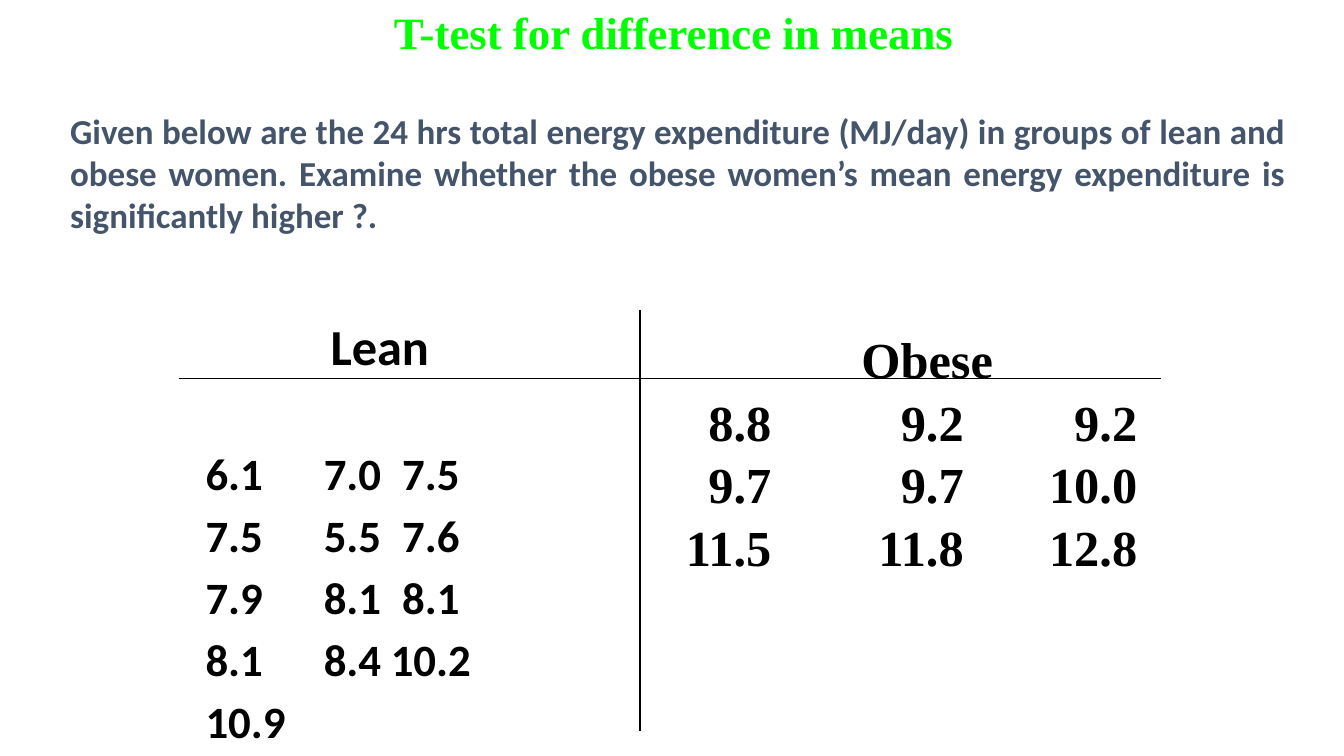
from pptx import Presentation
from pptx.dml.color import RGBColor
from pptx.enum.shapes import MSO_CONNECTOR
from pptx.enum.text import MSO_ANCHOR, MSO_AUTO_SIZE, PP_ALIGN
from pptx.oxml.ns import qn
from pptx.util import Cm, Pt
from lxml import etree

GREEN = RGBColor(0x00, 0xFF, 0x00)
SLATE = RGBColor(0x44, 0x54, 0x6A)
BLACK = RGBColor(0x00, 0x00, 0x00)
SANS, SERIF = "Calibri", "Times New Roman"
STRAIGHT = MSO_CONNECTOR.STRAIGHT
TOP, MIDDLE = MSO_ANCHOR.TOP, MSO_ANCHOR.MIDDLE
LEFT, CENTER, JUSTIFY = PP_ALIGN.LEFT, PP_ALIGN.CENTER, PP_ALIGN.JUSTIFY
NO_AUTOFIT = MSO_AUTO_SIZE.NONE

TITLE = "T-test for difference in means"
QUESTION = (
    "Given below are the 24 hrs total energy expenditure (MJ/day) in groups of "
    "lean and obese women. Examine whether the obese women’s mean energy "
    "expenditure is significantly higher ?."
)

# Boxes are left, top, width, height in cm; tabs are (alignment, cm from the text edge)
GROUPS = [
    {
        "name": "Lean",
        "rows": [
            ("6.1", "7.0", "7.5"),
            ("7.5", "5.5", "7.6"),
            ("7.9", "8.1", "8.1"),
            ("8.1", "8.4", "10.2"),
            ("10.9",),
        ],
        "box": (4.93, 7.82, 9.96, 11.23),
        "font": SANS, "size": 32, "name_indent": 3.15,
        "tabs": [("l", 2.98), ("ctr", 5.68)],
        "first_gap": 50, "row_gap": 5.8, "first_tab": False,
    },
    {
        "name": "Obese",
        "rows": [
            ("8.8", "9.2", "9.2"),
            ("9.7", "9.7", "10.0"),
            ("11.5", "11.8", "12.8"),
        ],
        "box": (16.36, 8.15, 12.57, 7.87),
        "font": SERIF, "size": 36, "name_indent": 5.1,
        "tabs": [("r", 2.83), ("r", 7.68), ("r", 12.05)],
        "first_gap": 1.5, "row_gap": 1.5, "first_tab": True,
    },
]
NAME_SIZE = 36

# Start x, start y, end x, end y in cm
RULES = [
    (16.13, 7.82, 16.13, 18.42),
    (4.5, 9.53, 16.36, 9.53),
    (16.36, 9.53, 29.26, 9.53),
]


def write(para, text, *, font, size, color=BLACK, align=LEFT, gap=0, indent=0, tabs=()):
    props = para._p.get_or_add_pPr()
    if indent:
        props.set("marL", str(Cm(indent)))
        props.set("indent", "0")
    if tabs:
        tab_list = etree.SubElement(props, qn("a:tabLst"))
        for kind, position in tabs:
            etree.SubElement(tab_list, qn("a:tab"), pos=str(Cm(position)), algn=kind)
    para.alignment = align
    para.line_spacing = 1.0
    para.space_before = Pt(gap)
    span = para.add_run()
    span.text = text
    span.font.name = font
    span.font.size = Pt(size)
    span.font.bold = True
    span.font.color.rgb = color


def place(box, left, top, width, height, anchor=TOP):
    """Set the box's position and return its text frame, ready to fill."""
    box.left, box.top, box.width, box.height = map(Cm, (left, top, width, height))
    frame = box.text_frame
    frame.word_wrap = True
    frame.auto_size = NO_AUTOFIT
    frame.vertical_anchor = anchor
    return frame


def add_frame(slide, bounds, anchor=TOP):
    box = slide.shapes.add_textbox(0, 0, 0, 0)
    return place(box, *bounds, anchor=anchor)


def add_group(slide, group):
    frame = add_frame(slide, group["box"])
    write(frame.paragraphs[0], group["name"], font=group["font"],
          size=NAME_SIZE, indent=group["name_indent"])
    for number, row in enumerate(group["rows"]):
        lead = "\t" if group["first_tab"] else ""
        write(frame.add_paragraph(), lead + "\t".join(row), font=group["font"],
              size=group["size"], tabs=group["tabs"],
              gap=group["row_gap"] if number else group["first_gap"])


def add_rule(slide, ends):
    rule = slide.shapes.add_connector(STRAIGHT, *map(Cm, ends))
    rule.line.color.rgb = BLACK
    rule.line.width = Pt(1)
    etree.SubElement(rule._element.spPr, qn("a:effectLst"))


def main():
    deck = Presentation()
    deck.slide_width, deck.slide_height = Cm(33.87), Cm(19.05)
    slide = deck.slides.add_slide(deck.slide_layouts[5])

    title = place(slide.shapes.title, 9.6, 0, 14.76, 1.6)
    write(title.paragraphs[0], TITLE, font=SERIF, size=32, color=GREEN, align=CENTER)
    question = add_frame(slide, (1.52, 1.7, 31.12, 5.28), anchor=MIDDLE)
    write(question.paragraphs[0], QUESTION, font=SANS, size=25, color=SLATE, align=JUSTIFY)

    for group in GROUPS:
        add_group(slide, group)
    for ends in RULES:
        add_rule(slide, ends)
    deck.save("out.pptx")


if __name__ == "__main__":
    main()
